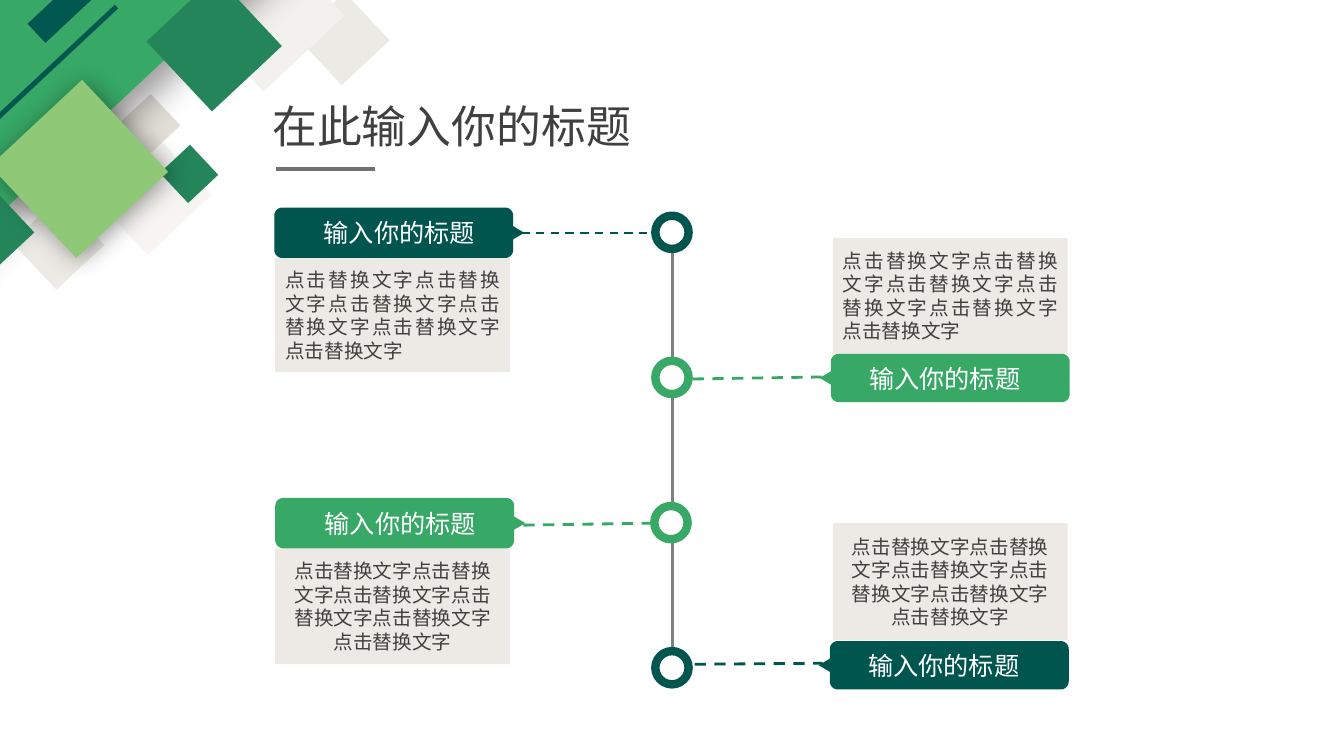
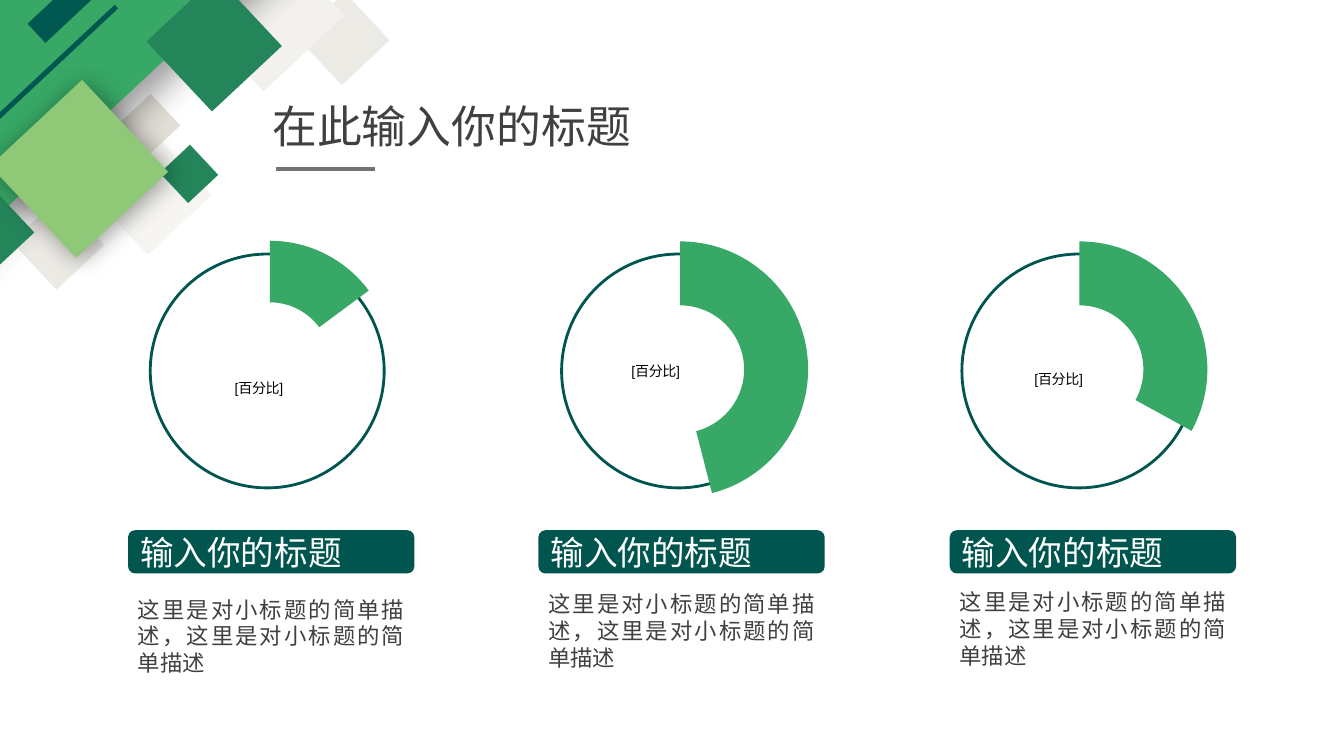
from dataclasses import dataclass
from math import cos, pi, sin
from typing import Any, Optional

from lxml import etree
from pptx import Presentation
from pptx.chart.data import CategoryChartData
from pptx.dml.color import RGBColor
from pptx.enum.chart import XL_CHART_TYPE
from pptx.enum.dml import MSO_LINE
from pptx.enum.shapes import MSO_CONNECTOR, MSO_SHAPE
from pptx.enum.text import MSO_ANCHOR, MSO_AUTO_SIZE, PP_ALIGN
from pptx.oxml.ns import qn
from pptx.util import Pt

PX = 9144
FONT = "Arial"
TURN = 316.9
RECT, ROUND, OVAL = MSO_SHAPE.RECTANGLE, MSO_SHAPE.ROUNDED_RECTANGLE, MSO_SHAPE.OVAL
LEFT, CENTER, EVEN = PP_ALIGN.LEFT, PP_ALIGN.CENTER, PP_ALIGN.JUSTIFY
TOP, MIDDLE = MSO_ANCHOR.TOP, MSO_ANCHOR.MIDDLE
DASH = MSO_LINE.DASH
STRAIGHT = MSO_CONNECTOR.STRAIGHT
RING = XL_CHART_TYPE.DOUGHNUT

BLACK = RGBColor(0x00, 0x00, 0x00)
WHITE = RGBColor(0xFF, 0xFF, 0xFF)
INK = RGBColor(0x40, 0x40, 0x40)
RULE = RGBColor(0x76, 0x71, 0x71)
AXIS = RGBColor(0x80, 0x80, 0x80)
PANEL = RGBColor(0xED, 0xEA, 0xE5)
STONE = RGBColor(0xE7, 0xE4, 0xDD)
CREAM = RGBColor(0xF2, 0xF1, 0xED)
SAND = RGBColor(0xD8, 0xD4, 0xC9)
DEEP = RGBColor(0x00, 0x55, 0x4E)
TEAL = RGBColor(0x00, 0x57, 0x4F)
GREEN = RGBColor(0x37, 0xA8, 0x66)
MOSS = RGBColor(0x24, 0x85, 0x5A)
LIME = RGBColor(0x8F, 0xC8, 0x77)

TITLE = "在此输入你的标题"
LABEL = "输入你的标题"
BODY = "点击替换文字" * 6
NOTE = "这里是对小标题的简单描述，这里是对小标题的简单描述"
SHARE = "[百分比]"


@dataclass(frozen=True)
class Box:
    x: int
    y: int
    w: int
    h: int

    def emu(self) -> tuple[int, int, int, int]:
        return self.x * PX, self.y * PX, self.w * PX, self.h * PX


@dataclass(frozen=True)
class Shade:
    blur: int
    dist: int
    angle: int


@dataclass(frozen=True)
class Tile:
    box: Box
    color: RGBColor
    alpha: int = 100
    shade: Optional[Shade] = None


@dataclass(frozen=True)
class Step:
    tag: Box
    card: Box
    dot: Box
    start: tuple[int, int]
    end: tuple[int, int]
    color: RGBColor
    align: Any
    right: bool
    width: float = 2


@dataclass(frozen=True)
class Gauge:
    x: int
    ring: int
    note: int
    plot: Box
    vals: tuple[int, ...]
    shift: tuple[float, float]


TILES = (
    Tile(Box(308, 6, 65, 65), STONE, 76),
    Tile(Box(209, -42, 110, 110), CREAM),
    Tile(Box(25, 209, 65, 65), STONE, 76),
    Tile(Box(105, 148, 87, 87), CREAM, 67),
    Tile(Box(127, 102, 43, 43), SAND, 73),
    Tile(Box(-203, -136, 527, 246), GREEN, shade=Shade(27, 16, 90)),
    Tile(Box(-163, 114, 322, 5), TEAL),
    Tile(Box(167, 152, 41, 41), MOSS),
    Tile(Box(185, -49, 44, 44), DEEP),
    Tile(Box(165, -4, 95, 95), MOSS),
    Tile(Box(-48, 195, 68, 68), MOSS),
    Tile(Box(16, 105, 125, 125), LIME, shade=Shade(18, 3, 45)),
    Tile(Box(-8, -92, 328, 26), TEAL),
)

STEPS = (
    Step(Box(272, 206, 248, 50), Box(273, 256, 233, 113), Box(650, 214, 33, 33),
         (517, 231), (650, 231), DEEP, EVEN, False, 1.5),
    Step(Box(813, 351, 248, 48), Box(826, 236, 233, 115), Box(650, 358, 33, 33),
         (687, 376), (815, 374), GREEN, EVEN, True),
    Step(Box(273, 494, 248, 50), Box(273, 544, 233, 115), Box(649, 502, 33, 33),
         (519, 521), (649, 519), GREEN, CENTER, False),
    Step(Box(812, 636, 248, 48), Box(826, 519, 233, 116), Box(650, 646, 33, 33),
         (689, 659), (816, 658), DEEP, CENTER, True),
)

GAUGES = (
    Gauge(127, 149, 586, Box(31, 146, 520, 478), (15, 47, 21, 18), (-0.1, 0.22)),
    Gauge(534, 557, 581, Box(429, 168, 540, 441), (46, 30, 13, 11), (-0.22, 0.03)),
    Gauge(942, 954, 579, Box(825, 168, 540, 441), (33, 37, 16, 14), (-0.19, 0.13)),
)


def write(frame: Any, text: str, size: int, color: RGBColor,
          align: Any, anchor: Any = MIDDLE) -> None:
    frame.word_wrap = True
    frame.auto_size = MSO_AUTO_SIZE.NONE
    frame.vertical_anchor = anchor
    frame.text = text
    para = frame.paragraphs[0]
    para.alignment = align
    para.font.name = FONT
    para.font.size = Pt(size)
    para.font.color.rgb = color


def paint(shape: Any, fill: Optional[RGBColor],
          line: Optional[RGBColor] = None, width: float = 0) -> None:
    shape.shadow.inherit = False
    if fill is None:
        shape.fill.background()
    else:
        shape.fill.solid()
        shape.fill.fore_color.rgb = fill
    if line is None:
        shape.line.fill.background()
    else:
        shape.line.color.rgb = line
        shape.line.width = Pt(width)


def draw(shapes: Any, kind: Any, box: Box, fill: Optional[RGBColor],
         line: Optional[RGBColor] = None, width: float = 0) -> Any:
    shape = shapes.add_shape(kind, *box.emu())
    paint(shape, fill, line, width)
    return shape


def link(shapes: Any, start: tuple[int, int], end: tuple[int, int],
         color: RGBColor, width: float, dash: Any = None) -> None:
    line = shapes.add_connector(STRAIGHT, *(v * PX for v in start + end))
    line.line.color.rgb = color
    line.line.width = Pt(width)
    if dash is not None:
        line.line.dash_style = dash
    etree.SubElement(line.element.spPr, qn("a:effectLst"))


def fade(node: Any, alpha: int) -> None:
    etree.SubElement(node, qn("a:alpha"), val=str(alpha * 1000))


def cast(shape: Any, shade: Shade) -> None:
    glow = etree.SubElement(
        shape.element.spPr.find(qn("a:effectLst")), qn("a:outerShdw"),
        blurRad=str(Pt(shade.blur)), dist=str(Pt(shade.dist)),
        dir=str(shade.angle * 60000), algn="ctr", rotWithShape="0")
    fade(etree.SubElement(glow, qn("a:srgbClr"), val=str(BLACK)), 40)


def backdrop(slide: Any) -> None:
    group = slide.shapes.add_group_shape()
    for tile in TILES:
        shape = draw(group.shapes, RECT, tile.box, tile.color)
        shape.rotation = TURN
        if tile.alpha < 100:
            fade(next(shape.element.spPr.iter(qn("a:srgbClr"))), tile.alpha)
        if tile.shade:
            cast(shape, tile.shade)
    link(group.shapes, (274, 168), (372, 168), RULE, 3)
    for num, node in enumerate(group.element.iter(qn("p:cNvPr")), 100):
        node.set("id", str(num))
    slide.slide_layout.shapes.element.insert(2, group.element)


def head(slide: Any) -> None:
    title = slide.shapes.title
    title.left, title.top, title.width, title.height = Box(260, 93, 407, 64).emu()
    write(title.text_frame, TITLE, 32, INK, LEFT)


def callout(shapes: Any, step: Step) -> None:
    box, rad, tip, half = step.tag, 8, 11, 6.5
    edge, mid = box.w - tip, box.h / 2
    spots = []
    corners = ((rad, rad, 2), (edge - rad, rad, 3),
               (edge - rad, box.h - rad, 0), (rad, box.h - rad, 1))
    for cx, cy, turn in corners:
        if turn == 0:
            spots += [(edge, mid - half), (box.w, mid), (edge, mid + half)]
        for part in range(9):
            angle = (turn + part / 8) * pi / 2
            spots.append((cx + rad * cos(angle), cy + rad * sin(angle)))
    pts = [((box.x + (box.w - x if step.right else x)) * PX, (box.y + y) * PX)
           for x, y in spots]
    form = shapes.build_freeform(*(round(v) for v in pts[0]))
    form.add_line_segments(pts[1:], close=True)
    shape = form.convert_to_shape()
    paint(shape, step.color)
    write(shape.text_frame, LABEL, 18, WHITE, CENTER)


def place(x: float, y: float, w: float = 0, h: float = 0) -> Any:
    node = etree.Element(qn("c:layout"))
    hand = etree.SubElement(node, qn("c:manualLayout"))
    pairs = [("x", x), ("y", y)]
    if w:
        pairs = [("layoutTarget", "inner"), ("xMode", "edge"), ("yMode", "edge"),
                 *pairs, ("w", w), ("h", h)]
    for name, val in pairs:
        etree.SubElement(hand, qn("c:" + name), val=str(val))
    return node


def donut(shapes: Any, gauge: Gauge) -> None:
    data = CategoryChartData()
    data.categories = ["1", "2", "3", "4"]
    data.add_series("Series 1", gauge.vals)
    chart = shapes.add_chart(RING, *gauge.plot.emu(), data).chart
    chart.has_legend = False
    chart.has_title = False
    chart.font.name = FONT
    chart.font.size = Pt(10)
    chart.font.color.rgb = BLACK
    plot = chart.plots[0]
    plot.vary_by_categories = False
    series = plot.series[0]
    for num in range(len(gauge.vals)):
        look = series.points[num].format
        look.line.fill.background()
        if num:
            look.fill.background()
        else:
            look.fill.solid()
            look.fill.fore_color.rgb = GREEN
    series.data_labels.show_value = False
    write(series.points[0].data_label.text_frame, SHARE, 10, BLACK, CENTER)
    root = chart.element
    next(root.iter(qn("c:dLbl"))).insert(1, place(*gauge.shift))
    for name, val in (("showLeaderLines", "0"), ("holeSize", "90")):
        for node in root.iter(qn("c:" + name)):
            node.set("val", val)
    area = next(root.iter(qn("c:plotArea")))
    for node in area.findall(qn("c:layout")):
        area.remove(node)
    area.insert(0, place(0.22, 0.1, 0.47, 0.7))


def timeline(slide: Any) -> None:
    shapes = slide.shapes
    for step in STEPS:
        card = draw(shapes, RECT, step.card, PANEL)
        write(card.text_frame, BODY, 14, INK, step.align)
    link(shapes, (667, 214), (667, 679), AXIS, 1.5)
    for step in STEPS:
        draw(shapes, OVAL, step.dot, WHITE, step.color, 6)
        callout(shapes, step)
        link(shapes, step.start, step.end, step.color, step.width, DASH)


def gauges(slide: Any) -> None:
    shapes = slide.shapes
    for gauge in GAUGES:
        draw(shapes, OVAL, Box(gauge.ring, 252, 232, 232), None, DEEP, 2)
        donut(shapes, gauge)
        tag = draw(shapes, ROUND, Box(gauge.x, 526, 284, 43), DEEP)
        write(tag.text_frame, LABEL, 24, WHITE, EVEN)
        note = shapes.add_textbox(*Box(gauge.x, gauge.note, 284, 91).emu())
        write(note.text_frame, NOTE, 16, INK, EVEN, TOP)


def main() -> None:
    deck = Presentation()
    deck.slide_width, deck.slide_height = 1333 * PX, 750 * PX
    layout = deck.slide_layouts[5]
    for num, fill in enumerate((timeline, gauges)):
        slide = deck.slides.add_slide(layout)
        if num == 0:
            backdrop(slide)
        head(slide)
        fill(slide)
    deck.save("out.pptx")


if __name__ == "__main__":
    main()
